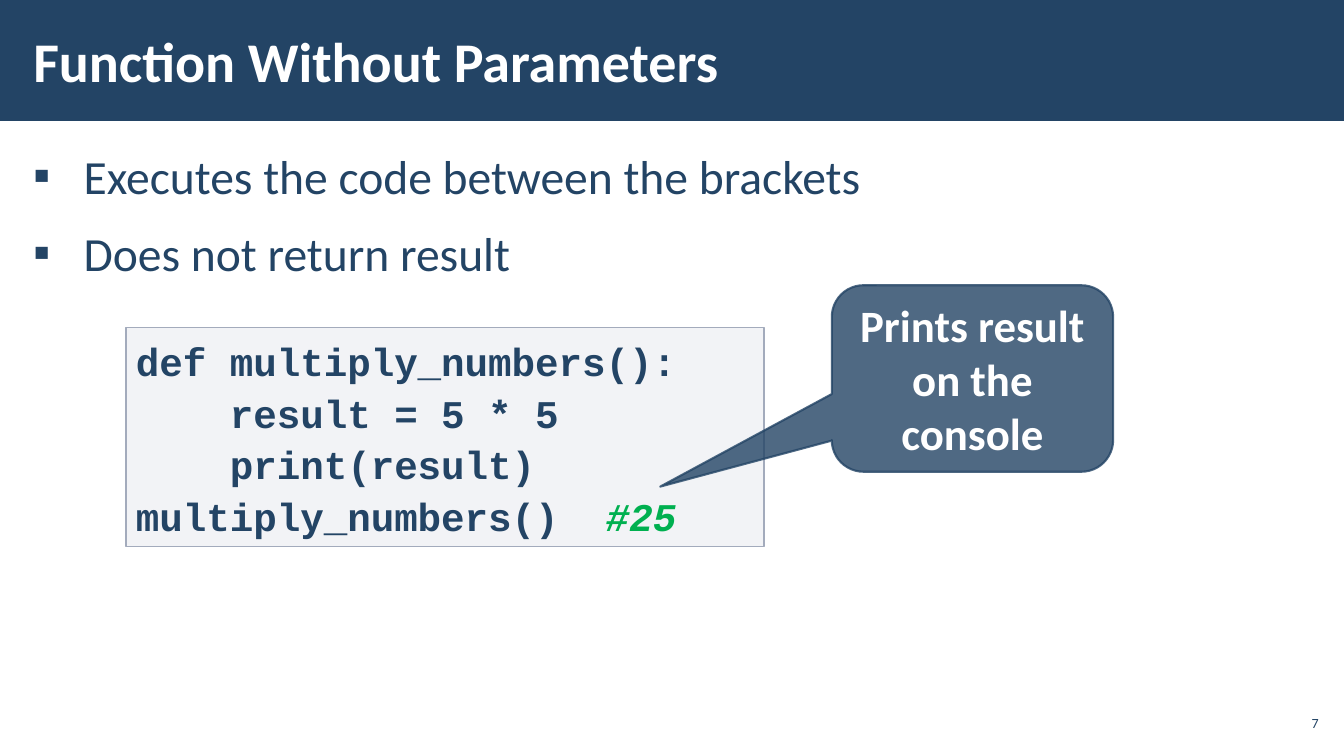
from lxml.etree import SubElement
from pptx import Presentation
from pptx.dml.color import RGBColor
from pptx.enum.shapes import MSO_SHAPE
from pptx.enum.text import MSO_ANCHOR, MSO_AUTO_SIZE, PP_ALIGN
from pptx.oxml.ns import qn
from pptx.util import Inches, Pt

NAVY, WHITE, GREEN = "234465", "FFFFFF", "00B050"


def paint(color, code):
    color.rgb = RGBColor.from_string(code)


def fade(fill, code, alpha):
    """Fill with a colour of the given opacity in percent."""
    fill.solid()
    paint(fill.fore_color, code)
    tint = fill._xPr.find(".//" + qn("a:srgbClr"))
    SubElement(tint, qn("a:alpha")).set("val", str(alpha * 1000))


def style(para, size, code, font="Calibri", bold=False):
    for run in para.runs:
        run.font.name = font
        run.font.size = Pt(size)
        run.font.bold = bold
        paint(run.font.color, code)


def place(shape, left, top, width, height):
    shape.left, shape.top = Inches(left), Inches(top)
    shape.width, shape.height = Inches(width), Inches(height)


def frame(shape, side, edge, anchor=MSO_ANCHOR.TOP):
    box = shape.text_frame
    box.word_wrap = True
    box.auto_size = MSO_AUTO_SIZE.NONE
    box.vertical_anchor = anchor
    box.margin_left = box.margin_right = Inches(side)
    box.margin_top = box.margin_bottom = Inches(edge)
    return box


def add_block(slide, kind, left, top, width, height):
    shape = slide.shapes.add_shape(
        kind, Inches(left), Inches(top), Inches(width), Inches(height))
    shape.shadow.inherit = False
    return shape


def add_title(slide, text):
    title = slide.shapes.title
    place(title, 0.21, 0.11, 10.39, 0.97)
    box = frame(title, 0.12, 0.04, MSO_ANCHOR.MIDDLE)
    box.text = text
    box.paragraphs[0].alignment = PP_ALIGN.LEFT
    style(box.paragraphs[0], 40, WHITE, bold=True)
    # Band behind the title
    band = add_block(slide, MSO_SHAPE.RECTANGLE, 0, 0, 13.33, 1.2)
    band.fill.solid()
    paint(band.fill.fore_color, NAVY)
    band.line.fill.background()
    title.element.addprevious(band.element)


def add_list(slide, items):
    body = slide.placeholders[1]
    place(body, 0.21, 1.31, 12.92, 5.69)
    box = frame(body, 0.12, 0.04)
    box.margin_top = Inches(0.12)
    box.text = "\n".join(items)
    for i, para in enumerate(box.paragraphs):
        props = para._p.get_or_add_pPr()
        props.set("marL", str(Inches(0.5)))
        props.set("indent", str(-Inches(0.5)))
        para.line_spacing = 1.05
        para.space_before = Pt(6 if i else 0)
        para.space_after = Pt(6)
        SubElement(props, qn("a:buFont")).set("typeface", "Calibri")
        SubElement(props, qn("a:buChar")).set("char", "▪")
        style(para, 34, NAVY)


def add_code(slide, lines, note):
    shape = add_block(slide, MSO_SHAPE.RECTANGLE, 1.25, 3.25, 6.33, 2.17)
    fade(shape.fill, "C2C7D2", 20)
    paint(shape.line.color, "A3ABBC")
    shape.line.width = Pt(1)
    box = frame(shape, 0.1, 0.05)
    box.text = "\n".join(lines)
    mark = box.paragraphs[-1].add_run()
    mark.text = note
    for para in box.paragraphs:
        para.alignment = PP_ALIGN.LEFT
        para.line_spacing = 1.1
        style(para, 28, NAVY, "Courier New", True)
    mark.font.italic = True
    paint(mark.font.color, GREEN)


def add_callout(slide, text):
    shape = add_block(slide, MSO_SHAPE.ROUNDED_RECTANGULAR_CALLOUT,
                      8.25, 2.83, 2.79, 1.85)
    for i, value in enumerate((-1.11, 0.58, 0.17)):
        shape.adjustments[i] = value
    fade(shape.fill, NAVY, 80)
    fade(shape.line.fill, NAVY, 80)
    shape.line.width = Pt(1.5)
    box = frame(shape, 0.1, 0.05, MSO_ANCHOR.MIDDLE)
    box.text = text
    box.paragraphs[0].alignment = PP_ALIGN.CENTER
    style(box.paragraphs[0], 32, WHITE, bold=True)


def add_number(slide, text):
    shape = slide.shapes.add_textbox(
        Inches(12.65), Inches(7), Inches(0.47), Inches(0.34))
    box = frame(shape, 0.04, 0.04, MSO_ANCHOR.MIDDLE)
    box.text = text
    box.paragraphs[0].alignment = PP_ALIGN.RIGHT
    style(box.paragraphs[0], 10, NAVY)


def main():
    deck = Presentation()
    deck.slide_width, deck.slide_height = Inches(13.33), Inches(7.5)
    slide = deck.slides.add_slide(deck.slide_layouts[1])
    add_title(slide, "Function Without Parameters")
    add_list(slide, ["Executes the code between the brackets",
                     "Does not return result"])
    add_number(slide, "7")
    add_code(slide, ["def multiply_numbers():",
                     "    result = 5 * 5",
                     "    print(result)",
                     "multiply_numbers()  "], "#25")
    add_callout(slide, "Prints result on the console")
    deck.save("out.pptx")


if __name__ == "__main__":
    main()
